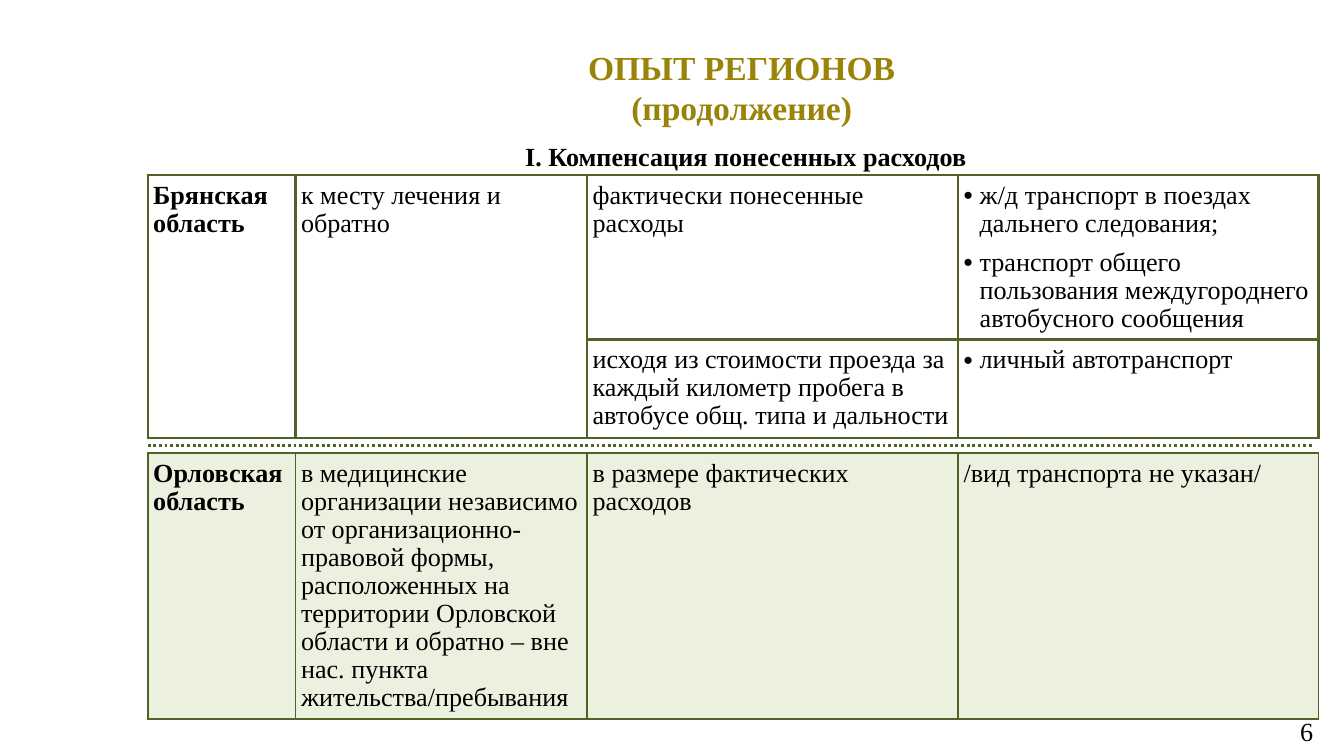
from lxml.etree import SubElement
from pptx import Presentation
from pptx.dml.color import RGBColor
from pptx.enum.dml import MSO_LINE
from pptx.enum.shapes import MSO_CONNECTOR
from pptx.enum.text import MSO_ANCHOR as Anchor, MSO_AUTO_SIZE as AutoSize, PP_ALIGN as Align
from pptx.oxml.ns import qn
from pptx.util import Inches, Pt

WIDTH = Inches(10)
HEIGHT = WIDTH * 9 // 16
COLORS = {"title": "998308", "text": "000000", "border": "4F6228", "band": "EBF1DE"}
FONT = {"name": "Times New Roman", "size": Pt(14), "bold": False}
BOLD = {**FONT, "bold": True}
TITLE_FONT = {**BOLD, "size": Pt(18)}
CELL_FORMAT = {
    "margin_left": Inches(0.04), "margin_right": Inches(0.04),
    "margin_top": Inches(0.05), "margin_bottom": Inches(0.05),
}
LEFT = 11
COLUMNS = [11, 21.7, 27.6, 26.8]
BRYANSK_ROWS = [
    [
        ["Брянская область"],
        ["к месту лечения и обратно"],
        ["фактически понесенные расходы"],
        ["ж/д транспорт в поездах дальнего следования;",
         "транспорт общего пользования междугороднего автобусного сообщения"],
    ],
    [
        [],
        [],
        ["исходя из стоимости проезда за каждый километр пробега в автобусе общ. типа и дальности"],
        ["личный автотранспорт"],
    ],
]
ORYOL_ROWS = [
    [
        ["Орловская область"],
        ["в медицинские организации независимо от организационно-правовой формы, "
         "расположенных на территории Орловской области и обратно – вне нас. пункта "
         "жительства/пребывания"],
        ["в размере фактических расходов"],
        ["/вид транспорта не указан/"],
    ],
]


def across(percent):
    return round(WIDTH * percent / 100)


def down(percent):
    return round(HEIGHT * percent / 100)


def area(left, top, width, height):
    return across(left), down(top), across(width), down(height)


def apply(target, values):
    for name, value in values.items():
        setattr(target, name, value)


def write(frame, texts, font, color="text", **paragraph_format):
    for index, text in enumerate(texts):
        paragraph = frame.add_paragraph() if index else frame.paragraphs[0]
        apply(paragraph, paragraph_format)
        run = paragraph.add_run()
        run.text = text
        apply(run.font, font)
        run.font.color.rgb = RGBColor.from_string(COLORS[color])


def add_title(slide, lines):
    title = slide.shapes.title
    title.left, title.top, title.width, title.height = area(LEFT, 5.33, 89, 12.6)
    apply(title.text_frame, {"vertical_anchor": Anchor.TOP, "word_wrap": True,
                             "auto_size": AutoSize.SHAPE_TO_FIT_TEXT})
    write(title.text_frame, lines, TITLE_FONT, "title", alignment=Align.CENTER)


def add_text(slide, box, text, font, alignment, **frame_format):
    frame = slide.shapes.add_textbox(*area(*box)).text_frame
    apply(frame, frame_format)
    write(frame, [text], font, alignment=alignment)


def add_bullets(frame):
    for paragraph in frame.paragraphs:
        properties = paragraph._p.get_or_add_pPr()
        properties.set("marL", str(Inches(0.12)))
        properties.set("indent", str(-Inches(0.12)))
        SubElement(properties, qn("a:buFont"), typeface="Arial")
        SubElement(properties, qn("a:buChar"), char="•")


def add_borders(cell, width):
    properties = cell._tc.get_or_add_tcPr()
    for side in ("lnL", "lnR", "lnT", "lnB"):
        line = SubElement(properties, qn(f"a:{side}"), w=str(Pt(width)))
        fill = SubElement(line, qn("a:solidFill"))
        SubElement(fill, qn("a:srgbClr"), val=COLORS["border"])


def fill_cell(cell, texts, font, border, band):
    apply(cell, CELL_FORMAT)
    add_borders(cell, border)
    if band:
        cell.fill.solid()
        cell.fill.fore_color.rgb = RGBColor.from_string(COLORS[band])
    else:
        cell.fill.background()
    write(cell.text_frame, texts, font, line_spacing=Pt(15))


def add_region_table(slide, top, heights, rows, border, band=None):
    box = area(LEFT, top, sum(COLUMNS), sum(heights))
    table = slide.shapes.add_table(len(rows), len(COLUMNS), *box).table
    apply(table, {"first_row": False, "horz_banding": False})
    for column, width in zip(table.columns, COLUMNS):
        column.width = across(width)
    for row, height in zip(table.rows, heights):
        row.height = down(height)
    for row_index, row in enumerate(rows):
        for column_index, texts in enumerate(row):
            font = FONT if column_index else BOLD
            fill_cell(table.cell(row_index, column_index), texts, font, border, band)
    return table


def add_divider(slide, top):
    line = slide.shapes.add_connector(
        MSO_CONNECTOR.STRAIGHT, across(LEFT), down(top), across(97.6), down(top))
    line.line.color.rgb = RGBColor.from_string(COLORS["border"])
    apply(line.line, {"width": Pt(1.5), "dash_style": MSO_LINE.ROUND_DOT})
    SubElement(line._element.spPr, qn("a:effectLst"))


def main():
    presentation = Presentation()
    apply(presentation, {"slide_width": WIDTH, "slide_height": HEIGHT})
    slide = presentation.slides.add_slide(presentation.slide_layouts[5])

    add_text(slide, (75.4, 94.1, 23.3, 5.33), "6", FONT, Align.RIGHT,
             word_wrap=True, vertical_anchor=Anchor.MIDDLE)
    add_title(slide, ["ОПЫТ РЕГИОНОВ ", "(продолжение) "])
    add_text(slide, (37.9, 17.65, 35.2, 6), "I. Компенсация понесенных расходов",
             BOLD, Align.CENTER, word_wrap=False, auto_size=AutoSize.SHAPE_TO_FIT_TEXT)

    add_region_table(slide, 59.95, [35.2], ORYOL_ROWS, 1, "band")
    bryansk = add_region_table(slide, 23.15, [21.7, 13], BRYANSK_ROWS, 1.5)
    for column in (0, 1):
        bryansk.cell(0, column).merge(bryansk.cell(1, column))
    for row in (0, 1):
        add_bullets(bryansk.cell(row, 3).text_frame)
    bryansk.cell(0, 3).text_frame.paragraphs[0].space_after = Pt(6)
    add_divider(slide, 58.9)

    presentation.save("out.pptx")


if __name__ == "__main__":
    main()
